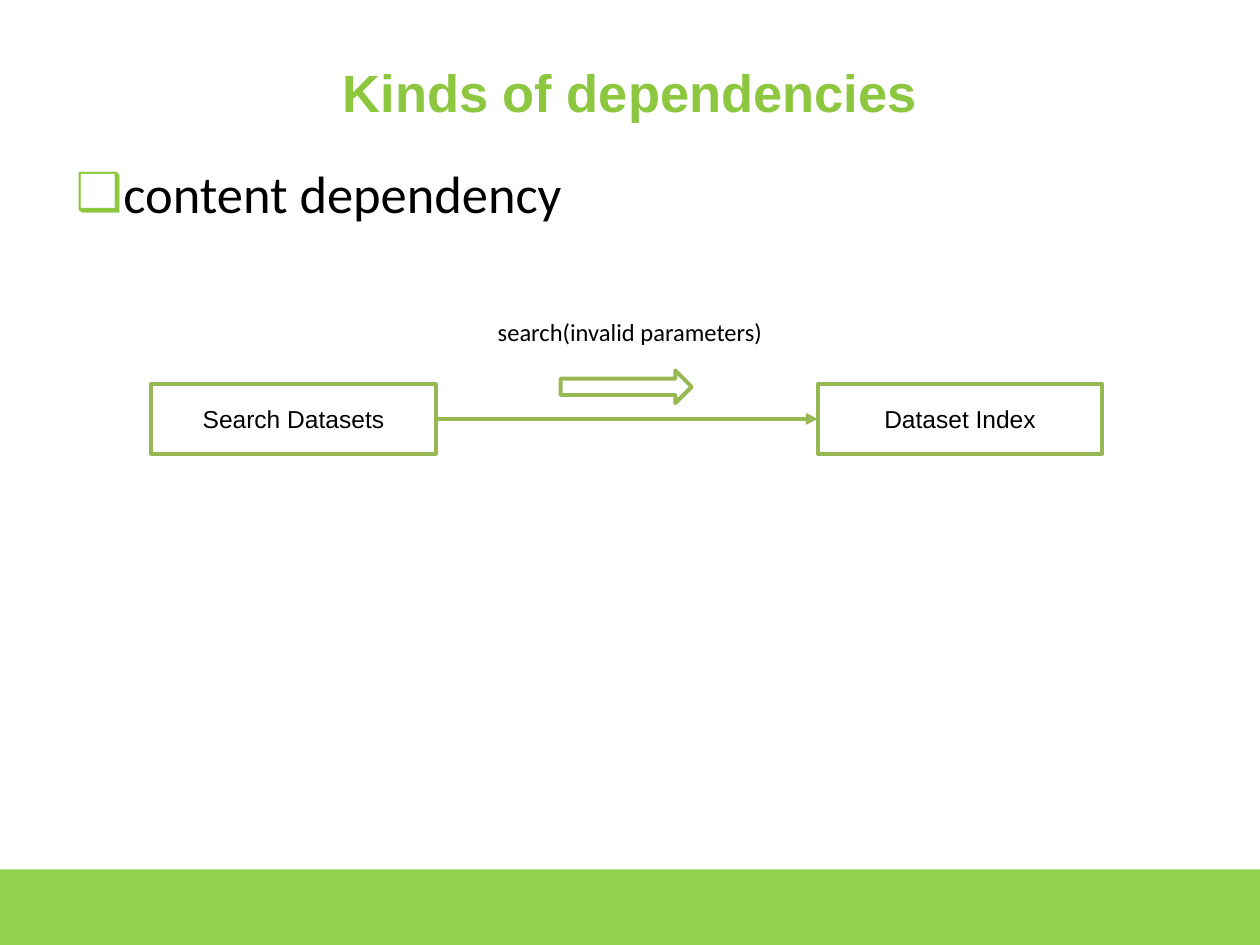
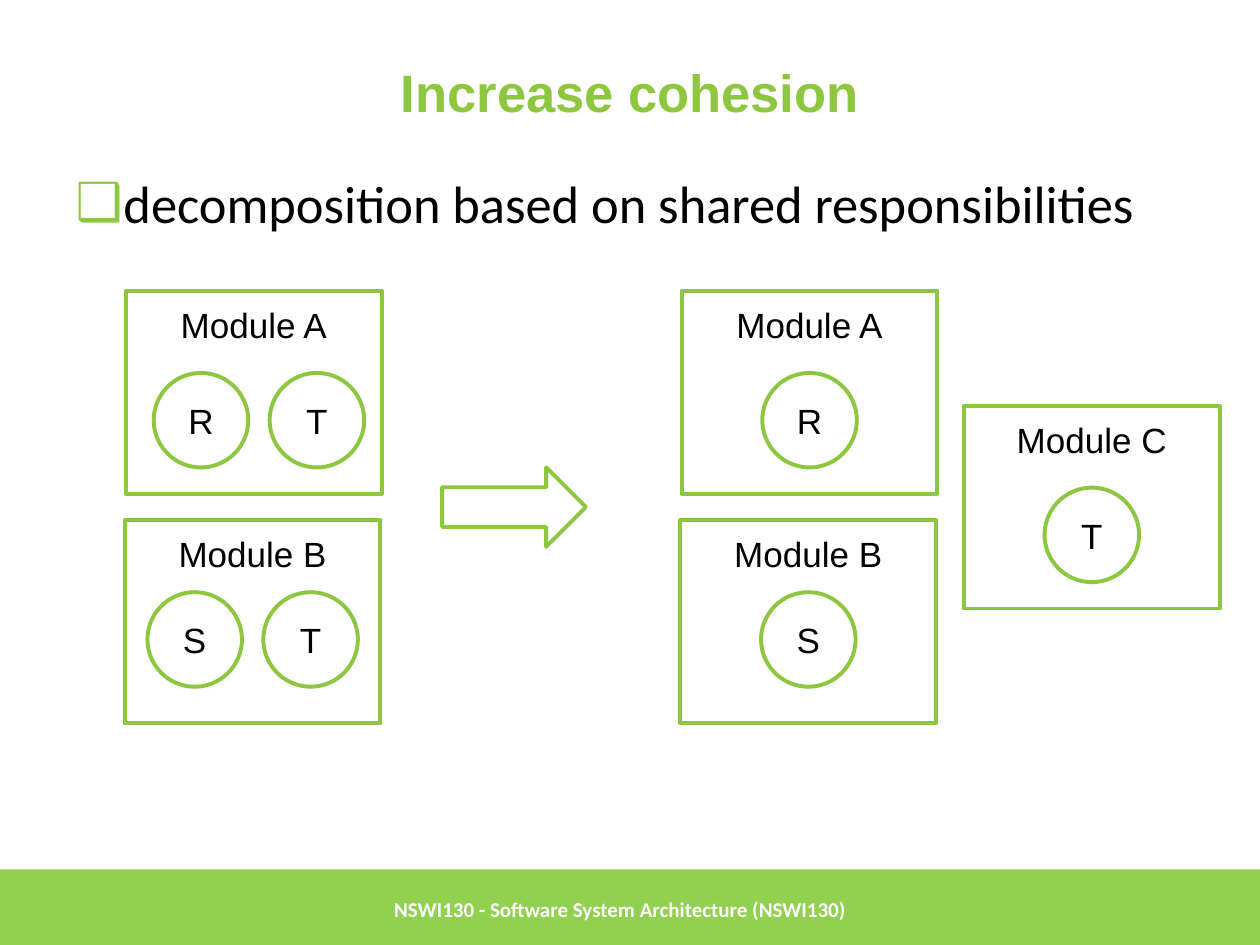
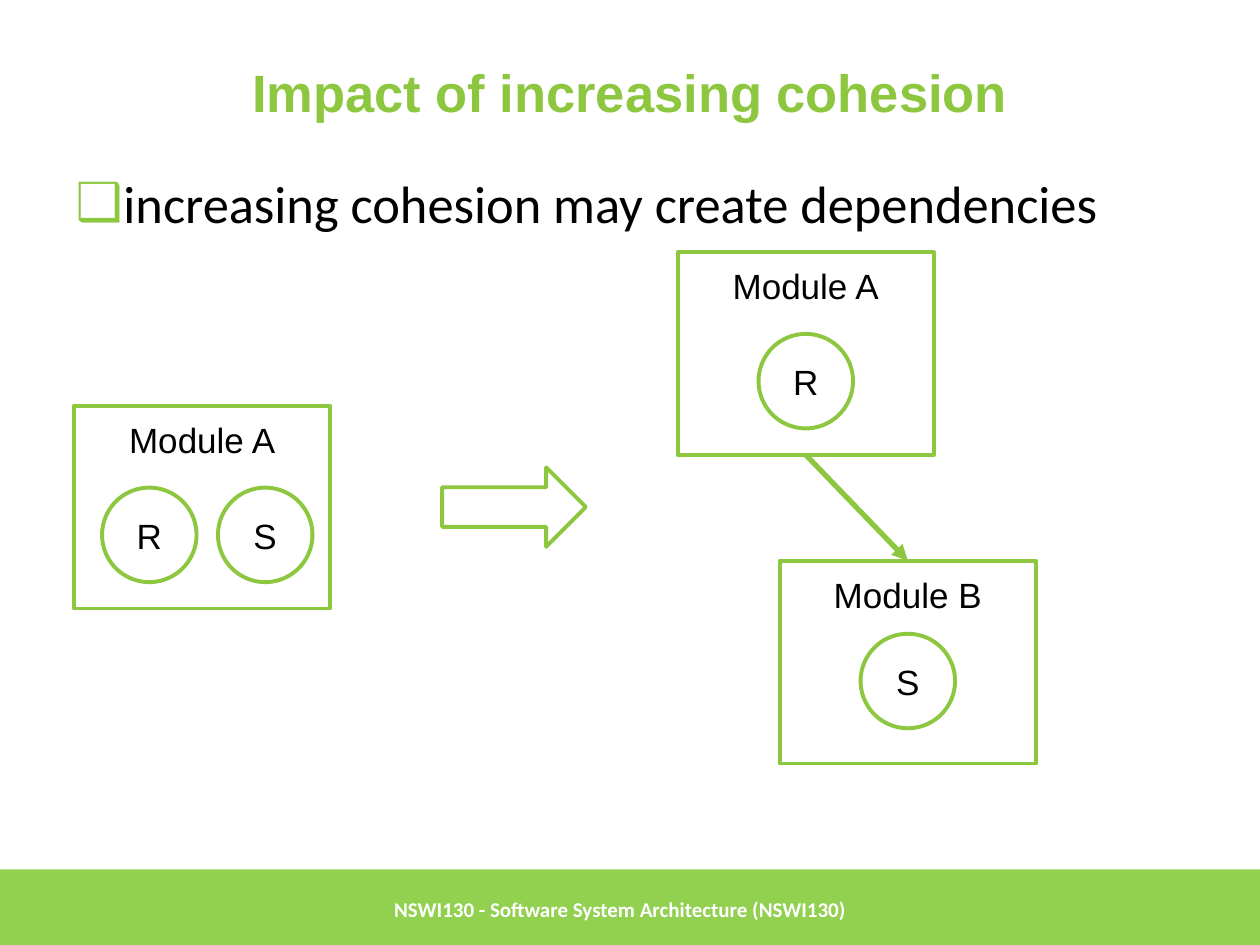
from dataclasses import dataclass

from pptx import Presentation
from pptx.dml.color import RGBColor
from pptx.enum.shapes import MSO_CONNECTOR, MSO_SHAPE as Preset
from pptx.enum.text import MSO_ANCHOR as Anchor, MSO_AUTO_SIZE, PP_ALIGN as Align
from pptx.oxml.ns import qn
from pptx.shapes.autoshape import Shape
from pptx.shapes.connector import Connector
from pptx.slide import Slide
from pptx.text.text import TextFrame
from pptx.util import Inches, Pt
from lxml.etree import SubElement

GREEN = "8DC63F"
OLIVE = "97B853"
BAND_GREEN = "92D050"
BLACK = "000000"
WHITE = "FFFFFF"

COURSE = "NSWI130 - Software System Architecture (NSWI130)"
BAND_TOP, BAND_HEIGHT = 6.9, 0.63
BULLET_INDENT = 0.38
MODULE_WIDTH, MODULE_HEIGHT = 2.03, 1.61
CIRCLE_SIZE, CIRCLE_PITCH = 0.75, 0.92
BOTTOM, TOP, LEFT, RIGHT = 2, 0, 1, 3


@dataclass(frozen=True)
class Box:
    left: float
    top: float
    width: float
    height: float

    def lengths(self) -> list[Inches]:
        return [Inches(n) for n in (self.left, self.top, self.width, self.height)]


@dataclass(frozen=True)
class TextStyle:
    size: float
    font: str = "Arial"
    color: str = BLACK
    bold: bool = False
    align: Align = Align.CENTER
    anchor: Anchor = Anchor.MIDDLE
    inset: float = 0.1  # top and bottom; the sides are always 0.1


@dataclass(frozen=True)
class Module:
    """A module box with one circle per responsibility; circle offsets are from its corner."""
    name: str
    left: float
    top: float
    responsibilities: str
    circle_left: float = (MODULE_WIDTH - CIRCLE_SIZE) / 2
    circle_top: float = 0.65


TITLE_STYLE = TextStyle(30, color=GREEN, bold=True, inset=0.05)
BODY_STYLE = TextStyle(30, "Calibri", align=Align.LEFT, anchor=Anchor.TOP, inset=0.05)
FOOTER_STYLE = TextStyle(12, "Calibri", WHITE, True, Align.LEFT, inset=0.05)
COMPONENT_STYLE = TextStyle(14)
CALL_STYLE = TextStyle(14, "Calibri")
MODULE_STYLE = TextStyle(20, anchor=Anchor.TOP)

TITLE_BOX = Box(0.5, 0.3, 9, 0.85)
TALL_BODY = Box(0.5, 1.23, 9, 5.47)
SHORT_BODY = Box(0.5, 1.23, 9, 0.85)
CHANGE_ARROW = Box(3.51, 3.71, 1.14, 0.63)

COHESION_MODULES = [
    Module("Module B", 0.99, 4.13, "ST", 0.18, 0.57),
    Module("Module A", 1, 2.31, "RT", 0.22),
    Module("Module B", 5.4, 4.13, "S", circle_top=0.57),
    Module("Module A", 5.41, 2.31, "R"),
    Module("Module C", 7.65, 3.22, "T"),
]
IMPACT_MODULES = [
    Module("Module A", 0.59, 3.22, "RS", 0.22),
    Module("Module B", 6.19, 4.45, "S", circle_top=0.58),
    Module("Module A", 5.38, 2, "R"),
]


def rgb(color: str) -> RGBColor:
    return RGBColor.from_string(color)


def write(frame: TextFrame, text: str, style: TextStyle) -> None:
    frame.text = text
    frame.word_wrap = True
    frame.auto_size = MSO_AUTO_SIZE.NONE
    frame.vertical_anchor = style.anchor
    frame.margin_left = frame.margin_right = Inches(0.1)
    frame.margin_top = frame.margin_bottom = Inches(style.inset)
    paragraph = frame.paragraphs[0]
    paragraph.alignment = style.align
    paragraph.space_before = Pt(0)
    font = paragraph.runs[0].font
    font.name, font.size, font.bold = style.font, Pt(style.size), style.bold
    font.color.rgb = rgb(style.color)


def add_bullet(frame: TextFrame) -> None:
    properties = frame.paragraphs[0]._p.get_or_add_pPr()
    properties.set("marL", str(Inches(BULLET_INDENT)))
    properties.set("indent", str(-Inches(BULLET_INDENT)))
    color = SubElement(properties, qn("a:buClr"))
    SubElement(color, qn("a:srgbClr"), val=GREEN)
    SubElement(properties, qn("a:buFont"), typeface="Arial")
    SubElement(properties, qn("a:buChar"), char="❑")


def add_outline(slide: Slide, preset: Preset, box: Box, color: str = GREEN,
                text: str = "", style: TextStyle = MODULE_STYLE) -> Shape:
    shape = slide.shapes.add_shape(preset, *box.lengths())
    shape.shadow.inherit = False
    shape.fill.background()
    shape.line.color.rgb = rgb(color)
    shape.line.width = Pt(2.25)
    if text:
        write(shape.text_frame, text, style)
    return shape


def add_text(slide: Slide, box: Box, text: str, style: TextStyle) -> None:
    write(slide.shapes.add_textbox(*box.lengths()).text_frame, text, style)


def connect(slide: Slide, start: Shape, start_side: int, end: Shape, end_side: int,
            color: str, width: float) -> Connector:
    connector = slide.shapes.add_connector(MSO_CONNECTOR.STRAIGHT, 0, 0, 0, 0)
    connector.begin_connect(start, start_side)
    connector.end_connect(end, end_side)
    connector.line.color.rgb = rgb(color)
    connector.line.width = Pt(width)
    properties = connector.element.spPr
    SubElement(properties.find(qn("a:ln")), qn("a:tailEnd"), type="triangle")
    SubElement(properties, qn("a:effectLst"))
    return connector


def add_module(slide: Slide, module: Module) -> Shape:
    box = Box(module.left, module.top, MODULE_WIDTH, MODULE_HEIGHT)
    shape = add_outline(slide, Preset.RECTANGLE, box, text=module.name)
    for index, letter in enumerate(module.responsibilities):
        circle = Box(module.left + module.circle_left + index * CIRCLE_PITCH,
                     module.top + module.circle_top, CIRCLE_SIZE, CIRCLE_SIZE)
        add_outline(slide, Preset.OVAL, circle, text=letter)
    return shape


def add_slide(presentation: Presentation, title: str, bullet: str, body_box: Box,
              line_spacing: float = 1.0, footer: str = "") -> Slide:
    slide = presentation.slides.add_slide(presentation.slide_layouts[1])
    band = slide.shapes.add_shape(Preset.RECTANGLE, *Box(0, BAND_TOP, 10, BAND_HEIGHT).lengths())
    band.shadow.inherit = False
    band.fill.solid()
    band.fill.fore_color.rgb = rgb(BAND_GREEN)
    band.line.fill.background()

    body = slide.placeholders[1]
    for placeholder, box, text, style in ((slide.shapes.title, TITLE_BOX, title, TITLE_STYLE),
                                          (body, body_box, bullet, BODY_STYLE)):
        placeholder.left, placeholder.top, placeholder.width, placeholder.height = box.lengths()
        write(placeholder.text_frame, text, style)
    add_bullet(body.text_frame)
    body.text_frame.paragraphs[0].line_spacing = line_spacing
    if footer:
        add_text(slide, Box(3.03, BAND_TOP, 6.02, BAND_HEIGHT), footer, FOOTER_STYLE)
    return slide


def add_dependency_slide(presentation: Presentation) -> None:
    slide = add_slide(presentation, "Kinds of dependencies", "content dependency", TALL_BODY)
    search, index = [
        add_outline(slide, Preset.RECTANGLE, Box(left, 3.05, 2.26, 0.55), OLIVE,
                    name, COMPONENT_STYLE)
        for left, name in ((1.2, "Search Datasets"), (6.49, "Dataset Index"))
    ]
    connect(slide, search, RIGHT, index, LEFT, OLIVE, 2.25)
    add_outline(slide, Preset.RIGHT_ARROW, Box(4.45, 2.94, 1.04, 0.26), OLIVE)
    add_text(slide, Box(3.73, 2.33, 2.54, 0.61), "search(invalid parameters)", CALL_STYLE)


def add_module_slide(presentation: Presentation, title: str, bullet: str,
                     modules: list[Module]) -> tuple[Slide, list[Shape]]:
    slide = add_slide(presentation, title, bullet, SHORT_BODY, 1.15, COURSE)
    add_outline(slide, Preset.RIGHT_ARROW, CHANGE_ARROW)
    return slide, [add_module(slide, module) for module in modules]


def main() -> None:
    presentation = Presentation()
    presentation.slide_width, presentation.slide_height = Inches(10), Inches(7.5)
    add_dependency_slide(presentation)
    add_module_slide(presentation, "Increase cohesion",
                     "decomposition based on shared responsibilities", COHESION_MODULES)
    slide, (_, module_b, module_a) = add_module_slide(
        presentation, "Impact of increasing cohesion",
        "increasing cohesion may create dependencies", IMPACT_MODULES)
    connect(slide, module_a, BOTTOM, module_b, TOP, GREEN, 3)
    presentation.save("out.pptx")


if __name__ == "__main__":
    main()
